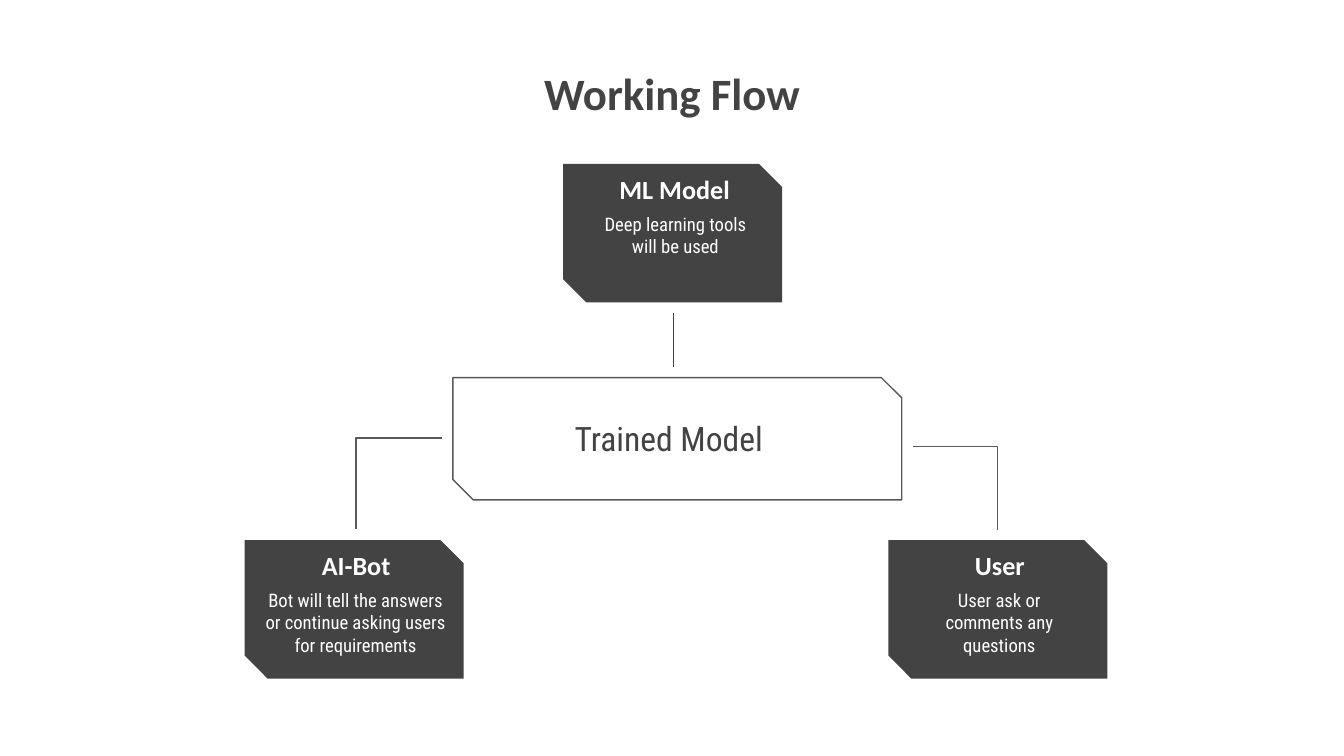
import pptx
import pptx.util
import pptx.dml.color
import pptx.enum.shapes
import pptx.enum.text
import pptx.oxml
import pptx.oxml.ns
from lxml import etree

Inches = pptx.util.Inches
Pt = pptx.util.Pt
CONNECTOR = pptx.enum.shapes.MSO_CONNECTOR
ANCHOR = pptx.enum.text.MSO_ANCHOR
qn = pptx.oxml.ns.qn

COLORS = {"dark": "434343", "outline": "595959", "white": "FFFFFF"}
HEADING_FONT = "Calibri"
BODY_FONT = "Roboto Condensed"
CARD_W, CARD_H = 1.63, 1.03


def rgb(name):
    return pptx.dml.color.RGBColor.from_string(COLORS[name])


class FlowSlide:
    def __init__(self, prs):
        self.s = prs.slides.add_slide(prs.slide_layouts[6])

    def text(self, x, y, w, h, text, size, font, color, bold=False, anchor=ANCHOR.TOP):
        tf = self.s.shapes.add_textbox(Inches(x), Inches(y), Inches(w), Inches(h)).text_frame
        tf.word_wrap = True
        tf.vertical_anchor = anchor
        tf.margin_left = tf.margin_right = tf.margin_top = tf.margin_bottom = Inches(0.1)
        p = tf.paragraphs[0]
        p.text = text
        p.alignment = pptx.enum.text.PP_ALIGN.CENTER
        p.font.size = Pt(size)
        p.font.name = font
        p.font.bold = bold
        p.font.color.rgb = rgb(color)

    def snipped_box(self, x, y, w, h, fill=None, line=None):
        kind = pptx.enum.shapes.MSO_SHAPE.SNIP_2_DIAG_RECTANGLE
        sp = self.s.shapes.add_shape(kind, Inches(x), Inches(y), Inches(w), Inches(h))
        sp.shadow.inherit = False
        sp.adjustments[0] = 0
        sp.adjustments[1] = 0.167
        if fill:
            sp.fill.solid()
            sp.fill.fore_color.rgb = rgb(fill)
        else:
            sp.fill.background()
        if line:
            sp.line.color.rgb = rgb(line)
            sp.line.width = Pt(0.75)
        else:
            sp.line.fill.background()

    def card(self, x, y, heading, body, body_x, body_w):
        self.snipped_box(x, y, CARD_W, CARD_H, fill="dark")
        self.text(x + 0.05, y - 0.03, 1.56, 0.43, heading, 14, HEADING_FONT, "white",
                  bold=True, anchor=ANCHOR.BOTTOM)
        self.text(body_x, y + 0.26, body_w, 0.68, body, 10, BODY_FONT, "white")

    def connector(self, kind, x1, y1, x2, y2, color):
        c = self.s.shapes.add_connector(kind, Inches(x1), Inches(y1), Inches(x2), Inches(y2))
        c.line.color.rgb = rgb(color)
        c.line.width = Pt(0.75)
        sp_pr = c._element.spPr
        etree.SubElement(sp_pr, qn("a:effectLst"))
        if kind == CONNECTOR.ELBOW:
            guides = sp_pr.find(qn("a:prstGeom")).find(qn("a:avLst"))
            etree.SubElement(guides, qn("a:gd"), name="adj1", fmla="val 100000")


def main():
    prs = pptx.Presentation()
    prs.slide_width = Inches(10)
    prs.slide_height = prs.slide_width * 9 // 16
    flow = FlowSlide(prs)

    flow.card(1.82, 4.02, "AI-Bot",
              "Bot will tell the answers or continue asking users for requirements", 1.86, 1.57)
    flow.card(6.61, 4.02, "User", "User ask or comments any questions", 6.73, 1.41)

    flow.text(2.15, 0.39, 5.7, 1.03, "Working Flow", 24, HEADING_FONT, "dark", bold=True)

    flow.connector(CONNECTOR.STRAIGHT, 5.01, 2.33, 5.01, 2.73, "dark")
    flow.snipped_box(3.37, 2.81, 3.34, 0.91, line="outline")
    flow.connector(CONNECTOR.ELBOW, 3.29, 3.26, 2.65, 3.94, "outline")
    flow.connector(CONNECTOR.ELBOW, 6.79, 3.32, 7.42, 3.94, "outline")
    flow.text(3.49, 3.01, 3.03, 0.54, "Trained Model ", 18, BODY_FONT, "dark")

    flow.card(4.19, 1.22, "ML Model", "Deep learning tools will be used", 4.32, 1.41)

    prs.save("out.pptx")


if __name__ == "__main__":
    main()
